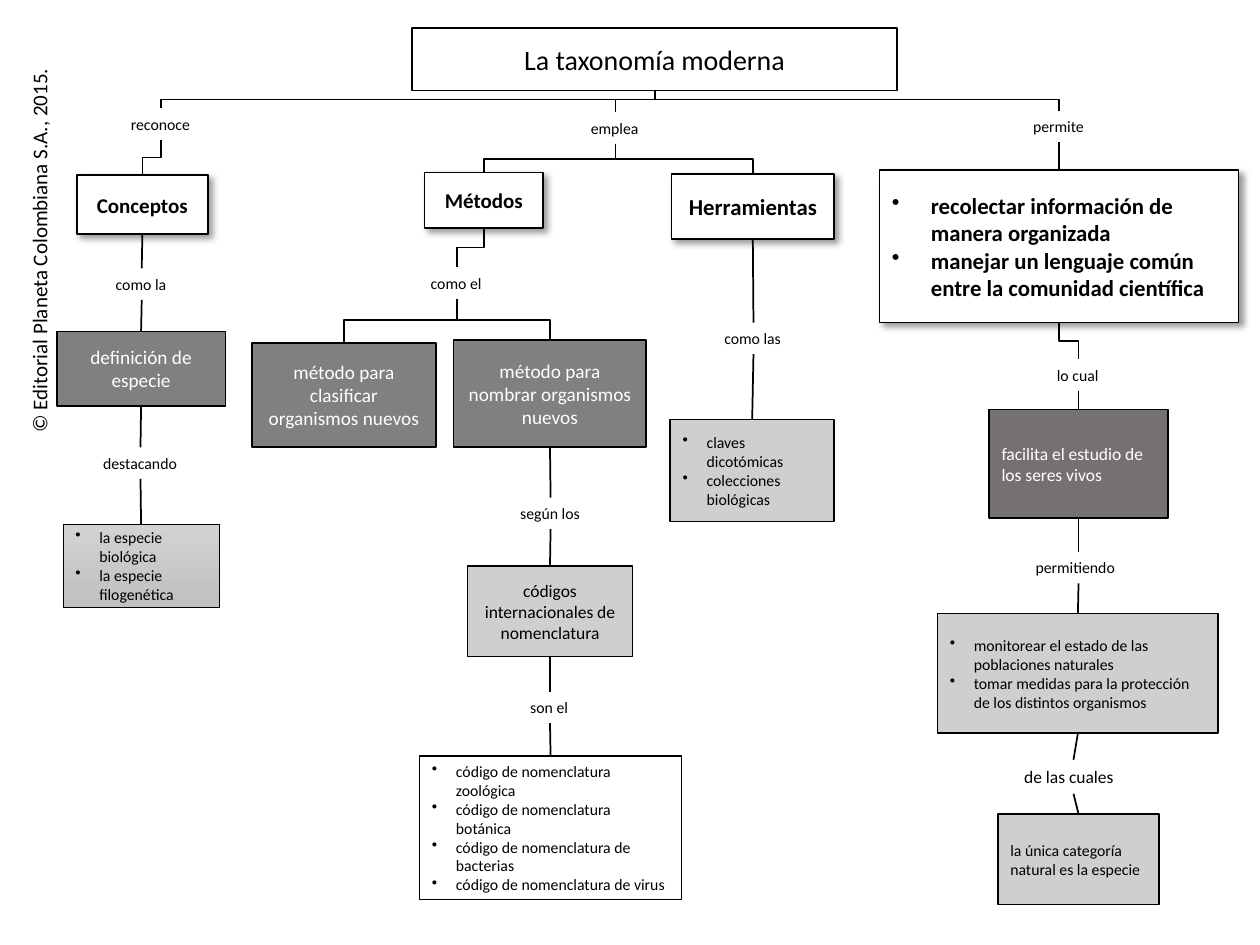
from lxml import etree
from pptx import Presentation
from pptx import util as u
from pptx.dml.color import RGBColor
from pptx.enum import shapes, text
from pptx.oxml.ns import qn

COLORS = {"black": "000000", "white": "FFFFFF", "gray": "808080", "stone": "767171",
          "light": "D0CECE", "top": "D2D2D2", "bottom": "C0C0C0"}


def color(name):
    return RGBColor.from_string(COLORS[name])


def write(shape, lines, size, font_color="black", bold=False, align="LEFT", indent=0):
    frame = shape.text_frame
    for index, line in enumerate(lines):
        paragraph = frame.add_paragraph() if index else frame.paragraphs[0]
        paragraph.alignment = getattr(text.PP_ALIGN, align)
        if indent:
            properties = paragraph._p.get_or_add_pPr()
            properties.set("marL", str(u.Inches(indent)))
            properties.set("indent", str(u.Inches(-indent)))
            etree.SubElement(properties, qn("a:buChar"), char="•")
        run = paragraph.add_run()
        run.text = line
        run.font.name = "Calibri"
        run.font.size = u.Pt(size)
        run.font.bold = bold
        run.font.color.rgb = color(font_color)


presentation = Presentation()
presentation.slide_width = u.Inches(10)
presentation.slide_height = u.Inches(7.5)
slide = presentation.slides.add_slide(presentation.slide_layouts[6])

centered = {"align": "CENTER"}
heading = {"align": "CENTER", "bold": True}
inverse = {"align": "CENTER", "font_color": "white"}
bulleted = {"indent": 0.19}

boxes = {
    "title": (3.27, 0.22, 3.85, 0.5, "white", 16, centered, ["La taxonomía moderna"]),
    "concepts": (0.61, 1.39, 1.04, 0.47, "white", 12, heading, ["Conceptos"]),
    "methods": (3.37, 1.37, 0.94, 0.44, "white", 12, heading, ["Métodos"]),
    "tools": (5.33, 1.38, 1.29, 0.52, "white", 13, heading, ["Herramientas"]),
    "goals": (6.98, 1.35, 2.85, 1.21, "white", 13, {"bold": True, "indent": 0.31},
              ["recolectar información de manera organizada",
               "manejar un lenguaje común entre la comunidad científica"]),
    "definition": (0.45, 2.63, 1.34, 0.59, "gray", 11, inverse, ["definición de especie"]),
    "classify": (2, 2.72, 1.46, 0.83, "gray", 11, inverse,
                 ["método para clasificar organismos nuevos"]),
    "name": (3.6, 2.7, 1.53, 0.85, "gray", 11, inverse,
             ["método para nombrar organismos nuevos"]),
    "species": (0.5, 4.16, 1.24, 0.66, "gradient", 9, bulleted,
                ["la especie biológica", "la especie filogenética"]),
    "keys": (5.32, 3.33, 1.3, 0.81, "light", 9, bulleted,
             ["claves dicotómicas", "colecciones biológicas"]),
    "study": (7.85, 3.25, 1.42, 0.86, "stone", 10, {"font_color": "white"},
              ["facilita el estudio de los seres vivos"]),
    "codes": (3.71, 4.49, 1.31, 0.72, "light", 10, centered,
              ["códigos internacionales de nomenclatura"]),
    "actions": (7.44, 4.87, 2.23, 0.95, "light", 9, bulleted,
                ["monitorear el estado de las poblaciones naturales",
                 "tomar medidas para la protección de los distintos organismos"]),
    "code list": (3.33, 6, 2.08, 1.14, "white", 9, bulleted,
                  ["código de nomenclatura zoológica", "código de nomenclatura botánica",
                   "código de nomenclatura de bacterias", "código de nomenclatura de virus"]),
    "category": (7.92, 6.46, 1.28, 0.72, "light", 9, {},
                 ["la única categoría natural es la especie"]),
}
labels = {
    "reconoce": (0.94, 0.86, 0.68), "emplea": (4.59, 0.89, 0.59), "permite": (8.1, 0.88, 0.61),
    "como la": (0.82, 2.13, 0.61), "como el": (3.32, 2.12, 0.61), "como las": (5.65, 2.56, 0.66),
    "lo cual": (8.29, 2.85, 0.54), "destacando": (0.72, 3.55, 0.79),
    "según los": (4.03, 3.95, 0.68), "permitiendo": (8.12, 4.38, 0.88),
    "son el": (4.11, 5.49, 0.51), "de las cuales": (8.03, 6.03, 0.98),
}
links = [
    ("title", "reconoce"), ("title", "emplea"), ("title", "permite"),
    ("reconoce", "concepts"), ("concepts", "como la"), ("como la", "definition"),
    ("definition", "destacando"), ("destacando", "species"),
    ("emplea", "methods"), ("emplea", "tools"), ("methods", "como el"),
    ("como el", "classify"), ("como el", "name"), ("name", "según los"),
    ("según los", "codes"), ("codes", "son el"), ("son el", "code list"),
    ("tools", "como las"), ("como las", "keys"),
    ("permite", "goals"), ("goals", "lo cual"), ("lo cual", "study"),
    ("study", "permitiendo"), ("permitiendo", "actions"),
    ("actions", "de las cuales"), ("de las cuales", "category"),
]
bends = {"title": 0.79, "emplea": 1.26, "como el": 2.54}
shadowed = ("concepts", "methods", "tools", "goals")
nodes = {}

credit = slide.shapes.add_textbox(u.Inches(-1.25), u.Inches(1.82), u.Inches(3.12), u.Inches(0.3))
credit.rotation = 270
credit.text_frame.word_wrap = False
write(credit, ["© Editorial Planeta Colombiana S.A., 2015."], 12)

for key, (left, top, width, height, fill, size, style, lines) in boxes.items():
    box = slide.shapes.add_shape(shapes.MSO_SHAPE.RECTANGLE, u.Inches(left), u.Inches(top),
                                 u.Inches(width), u.Inches(height))
    box.shadow.inherit = False
    if fill == "gradient":
        box.fill.gradient()
        box.fill.gradient_angle = 270
        for stop, name in zip(box.fill.gradient_stops, ("top", "bottom")):
            stop.color.rgb = color(name)
    else:
        box.fill.solid()
        box.fill.fore_color.rgb = color(fill)
    box.line.color.rgb = color("black")
    box.line.width = u.Pt(0.5 if fill == "gradient" else 1)
    if key in shadowed:
        effects = box._element.spPr.find(qn("a:effectLst"))
        shadow = etree.SubElement(effects, qn("a:outerShdw"), blurRad=str(u.Pt(4)),
                                  dist=str(u.Pt(3)), dir="2700000", algn="tl", rotWithShape="0")
        tint = etree.SubElement(shadow, qn("a:srgbClr"), val=COLORS["black"])
        etree.SubElement(tint, qn("a:alpha"), val="40000")
    box.text_frame.word_wrap = True
    box.text_frame.vertical_anchor = text.MSO_ANCHOR.MIDDLE
    write(box, lines, size, **style)
    nodes[key] = box

for label, (left, top, width) in labels.items():
    large = label == "de las cuales"
    box = slide.shapes.add_textbox(u.Inches(left), u.Inches(top), u.Inches(width),
                                   u.Inches(0.27 if large else 0.25))
    box.text_frame.word_wrap = False
    box.text_frame.auto_size = text.MSO_AUTO_SIZE.SHAPE_TO_FIT_TEXT
    write(box, [label], 10 if large else 9)
    nodes[label] = box

for parent, child in links:
    start, end = nodes[parent], nodes[child]
    x1, y1 = start.left + start.width // 2, start.top + start.height
    x2, y2 = end.left + end.width // 2, end.top
    across, down = x2 - x1, y2 - y1
    if abs(across) < u.Inches(0.1):
        connector = slide.shapes.add_connector(shapes.MSO_CONNECTOR.STRAIGHT, x1, y1, x2, y2)
        connector.begin_connect(start, 2)
        connector.end_connect(end, 0)
    else:
        left = (x1 + x2 - down) // 2
        top = (y1 + y2 - abs(across)) // 2
        connector = slide.shapes.add_connector(shapes.MSO_CONNECTOR.ELBOW, left, top,
                                               left + down, top + abs(across))
        transform = connector._element.spPr.find(qn("a:xfrm"))
        transform.set("rot", "16200000" if across > 0 else "5400000")
        if across > 0:
            transform.set("flipH", "1")
        bend = u.Inches(bends[parent]) if parent in bends else (y1 + y2) // 2
        adjustments = connector._element.spPr.find(qn("a:prstGeom")).find(qn("a:avLst"))
        etree.SubElement(adjustments, qn("a:gd"), name="adj1",
                         fmla=f"val {round((bend - y1) / down * 100000)}")
    connector.line.color.rgb = color("black")
    connector.line.width = u.Pt(1)
    etree.SubElement(connector._element.spPr, qn("a:effectLst"))

presentation.save("out.pptx")
